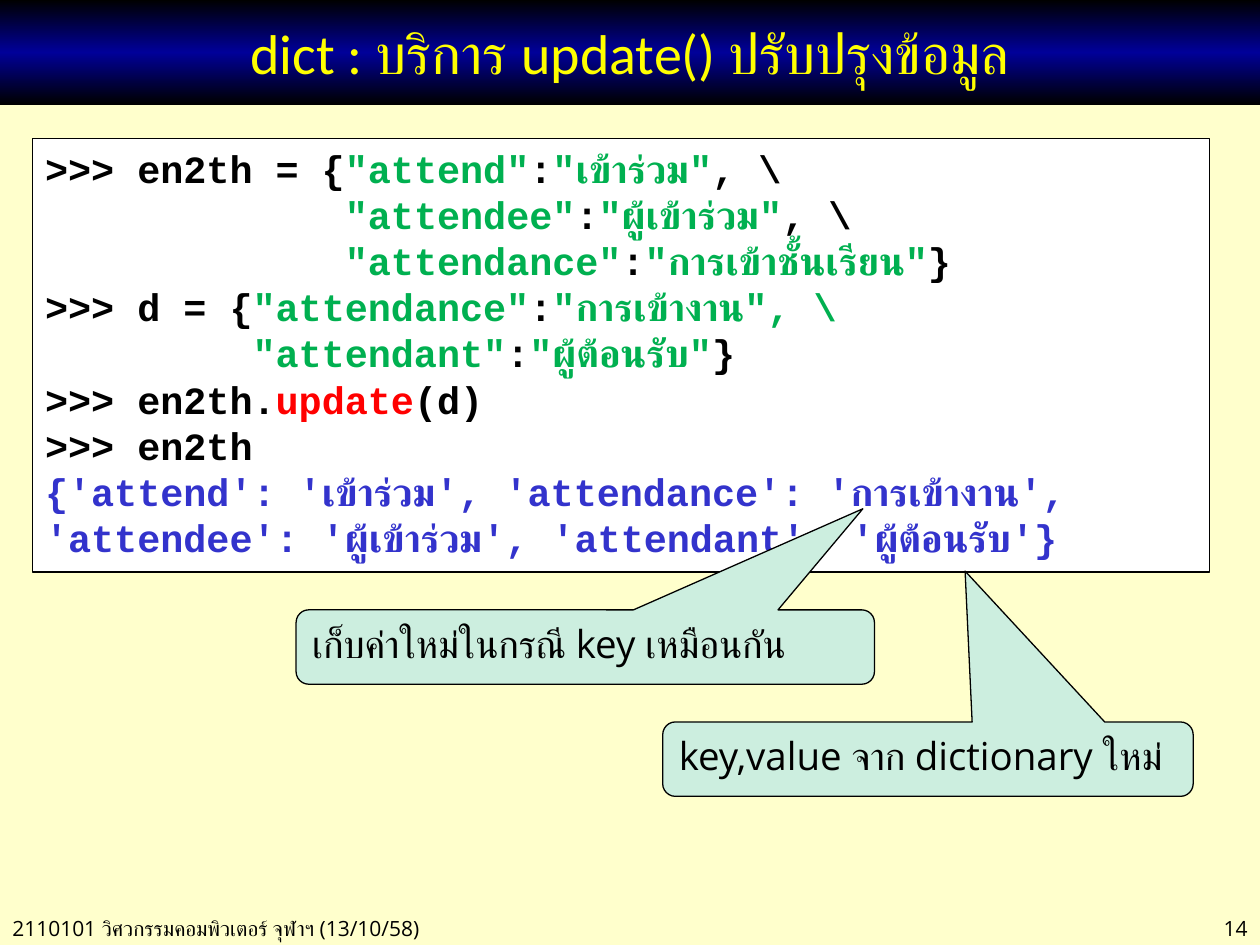
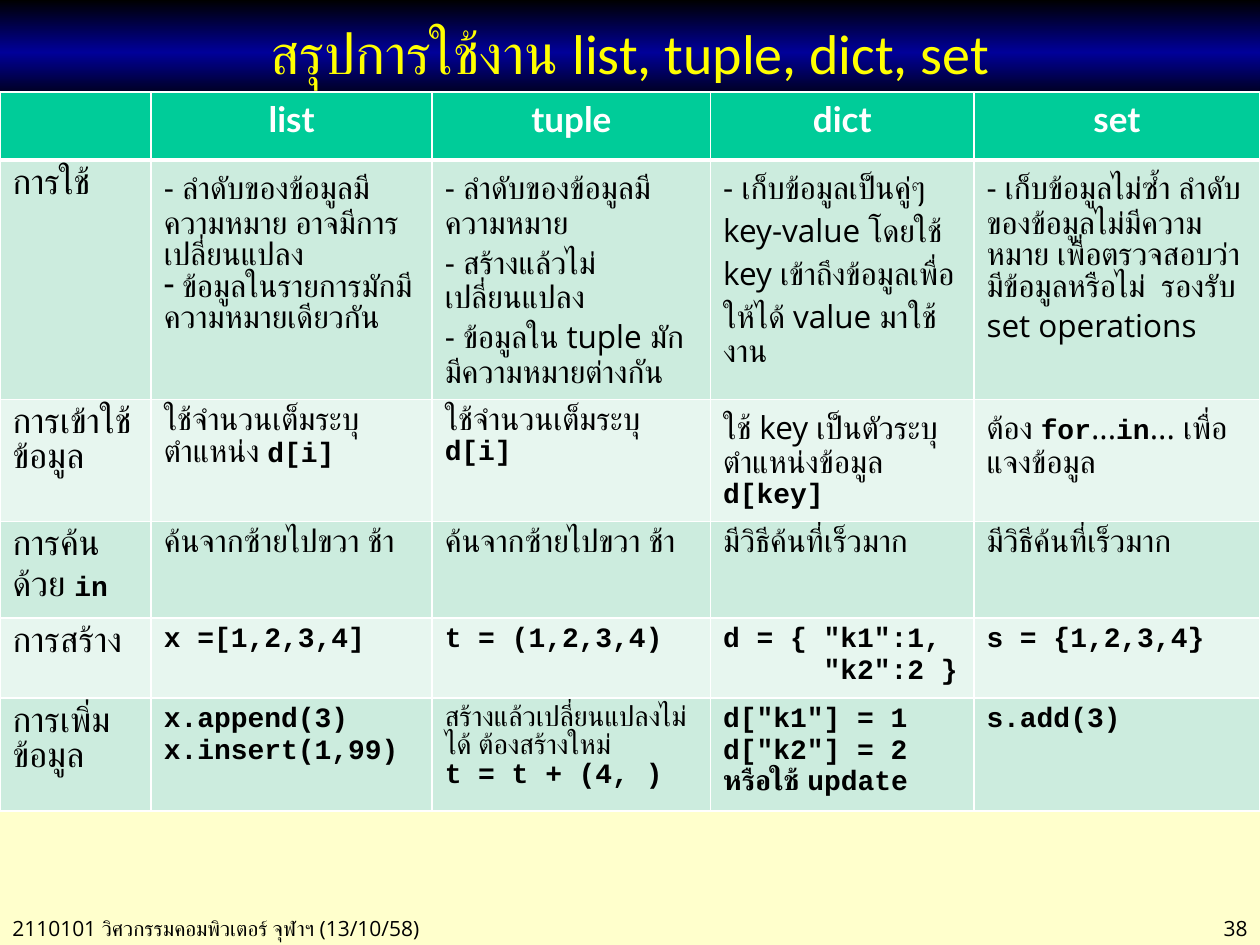
from dataclasses import dataclass
from lxml import etree
from pptx import Presentation
from pptx.dml.color import RGBColor
from pptx.enum.shapes import MSO_SHAPE
from pptx.enum.text import MSO_ANCHOR, MSO_AUTO_SIZE, PP_ALIGN
from pptx.oxml.ns import qn
from pptx.util import Inches, Pt


@dataclass(frozen=True)
class Theme:
    paper: str = "FFFFCC"
    navy: str = "000099"
    yellow: str = "FFFF00"
    black: str = "000000"
    white: str = "FFFFFF"
    green: str = "00B050"
    red: str = "FF0000"
    blue: str = "3333CC"
    callout: str = "CCEEDF"
    header: str = "00CC99"
    bands: tuple = ("E7F6EF", "CCECDE")
    # Text styles: font, size, bold
    title: tuple = ("Calibri", 32, False)
    footer: tuple = ("Open Sans", 12, False)
    code: tuple = ("Courier New", 22, True)
    note: tuple = ("Open Sans", 22, False)
    head: tuple = ("Lato", 20, True)
    label: tuple = ("Calibri", 20, False)
    cell: tuple = ("Open Sans", 18, False)
    small: tuple = ("Open Sans", 16, False)
    cell_code: tuple = ("Courier New", 16, True)


T = Theme()


def add_runs(p, runs, align=PP_ALIGN.LEFT):
    """Append (text, style, colour) runs to a paragraph."""
    p.alignment = align
    for text, (font, size, bold), color in runs:
        r = p.add_run()
        r.text = text
        r.font.name, r.font.size, r.font.bold = font, Pt(size), bold
        r.font.color.rgb = RGBColor.from_string(color)


def start_slide(title, number):
    """Add a slide with the title band and the footer."""
    s = prs.slides.add_slide(prs.slide_layouts[5])
    band = s.shapes.title
    band.left, band.top, band.width, band.height = 0, 0, Inches(10), Inches(0.83)
    band.fill.gradient()
    stops = band._element.spPr.find(qn("a:gradFill")).find(qn("a:gsLst"))
    stops.append(etree.fromstring(etree.tostring(stops[0])))
    for i, color in enumerate((T.black, T.navy, T.black)):
        for old in list(stops[i]):
            stops[i].remove(old)
        stops[i].set("pos", str(i * 50000))
        etree.SubElement(stops[i], qn("a:srgbClr"), val=color)
    band.fill.gradient_angle = 90
    tf = band.text_frame
    tf.auto_size = MSO_AUTO_SIZE.NONE
    tf.vertical_anchor = MSO_ANCHOR.MIDDLE
    add_runs(tf.paragraphs[0], [(title, T.title, T.yellow)], PP_ALIGN.CENTER)

    for text, left, width, align in (
        ("2110101 วิศวกรรมคอมพิวเตอร์ จุฬาฯ (13/10/58)", 0, 3.9, PP_ALIGN.LEFT),
        (str(number), 8.62, 1.38, PP_ALIGN.RIGHT),
    ):
        tf = s.shapes.add_textbox(Inches(left), Inches(7.22), Inches(width), Inches(0.3)).text_frame
        tf.word_wrap = True
        add_runs(tf.paragraphs[0], [(text, T.footer, T.black)], align)
    return s


prs = Presentation()
prs.slide_width, prs.slide_height = Inches(10), Inches(7.5)
background = prs.slide_master.background.fill
background.solid()
background.fore_color.rgb = RGBColor.from_string(T.paper)

# Slide 14: dict.update()
s = start_slide("dict : บริการ update() ปรับปรุงข้อมูล", 14)
K, G, R, B = T.black, T.green, T.red, T.blue
code_lines = [
    [(">>> en2th = {", K), ('"attend"', G), (":", K), ('"เข้าร่วม"', G), (", \\", K)],
    [(" " * 13, K), ('"attendee"', G), (":", K), ('"ผู้เข้าร่วม"', G), (", \\", K)],
    [(" " * 13, K), ('"attendance"', G), (":", K), ('"การเข้าชั้นเรียน"', G), ("}", K)],
    [(">>> d = {", K), ('"attendance"', G), (":", K), ('"การเข้างาน", \\', G)],
    [(" " * 9 + '"attendant"', G), (":", K), ('"ผู้ต้อนรับ"', G), ("}", K)],
    [(">>> en2th.", K), ("update", R), ("(d)", K)],
    [(">>> en2th", K)],
    [("{'attend': 'เข้าร่วม', 'attendance': 'การเข้างาน', "
      "'attendee': 'ผู้เข้าร่วม', 'attendant': 'ผู้ต้อนรับ'}", B)],
]
code_paragraphs = [[(text, T.code, color) for text, color in line] for line in code_lines]
callout = MSO_SHAPE.ROUNDED_RECTANGULAR_CALLOUT
boxes = [
    (MSO_SHAPE.RECTANGLE, (0.26, 1.1, 9.34, 3.44), T.white, (), code_paragraphs),
    (callout, (2.35, 4.84, 4.59, 0.59), T.callout, (0.48, -1.86, 0.17),
     [[("เก็บค่าใหม่ในกรณี key เหมือนกัน", T.note, K)]]),
    (callout, (5.26, 5.73, 4.21, 0.59), T.callout, (0.07, -2.53, 0.17),
     [[("key,value จาก dictionary ใหม่", T.note, K)]]),
]
for kind, place, fill, adjustments, paragraphs in boxes:
    sp = s.shapes.add_shape(kind, *map(Inches, place))
    sp.shadow.inherit = False
    sp.fill.solid()
    sp.fill.fore_color.rgb = RGBColor.from_string(fill)
    sp.line.color.rgb = RGBColor.from_string(T.black)
    sp.line.width = Pt(0.75)
    for i, value in enumerate(adjustments):
        sp.adjustments[i] = value
    tf = sp.text_frame
    tf.word_wrap = True
    tf.vertical_anchor = MSO_ANCHOR.TOP
    for i, runs in enumerate(paragraphs):
        add_runs(tf.add_paragraph() if i else tf.paragraphs[0], runs)

# Slide 38: comparison table; backticks mark code, ~ marks small text
s = start_slide("สรุปการใช้งาน list, tuple, dict, set", 38)
rows = [
    ["", "list", "tuple", "dict", "set"],
    ["การใช้",
     "- ลำดับของข้อมูลมีความหมาย อาจมีการเปลี่ยนแปลง\n ข้อมูลในรายการมักมีความหมายเดียวกัน",
     "- ลำดับของข้อมูลมีความหมาย\n- สร้างแล้วไม่เปลี่ยนแปลง\n- ข้อมูลใน tuple มักมีความหมายต่างกัน",
     "- เก็บข้อมูลเป็นคู่ๆ key-value โดยใช้ key เข้าถึงข้อมูลเพื่อให้ได้ value มาใช้งาน",
     "- เก็บข้อมูลไม่ซ้ำ ลำดับของข้อมูลไม่มีความหมาย เพื่อตรวจสอบว่า มีข้อมูลหรือไม่  รองรับ set operations"],
    ["การเข้าใช้ข้อมูล", "ใช้จำนวนเต็มระบุตำแหน่ง `d[i]`", "ใช้จำนวนเต็มระบุ `d[i]`",
     "ใช้ key เป็นตัวระบุตำแหน่งข้อมูล `d[key]`", "ต้อง `for`...`in`... เพื่อแจงข้อมูล"],
    ["การค้นด้วย `in` ", "ค้นจากซ้ายไปขวา ช้า", "ค้นจากซ้ายไปขวา ช้า",
     "มีวิธีค้นที่เร็วมาก", "มีวิธีค้นที่เร็วมาก"],
    ["การสร้าง", "`x =[1,2,3,4]`", "`t = (1,2,3,4)`",
     '`d = { "k1":1, `\n`      "k2":2 }`', "`s = {1,2,3,4}`"],
    ["การเพิ่มข้อมูล", "`x.append(3)`\n`x.insert(1,99)`",
     "~สร้างแล้วเปลี่ยนแปลงไม่ได้ ต้องสร้างใหม่\n`t = t + (4, )`",
     '`d["k1"] = 1`\n`d["k2"] = 2`\n`หรือใช้ update`', "`s.add(3)`"],
]
col_widths = [1.2, 2.23, 2.21, 2.09, 2.27]
row_heights = [0.54, 1.87, 0.94, 0.72, 0.6, 0.86]
table = s.shapes.add_table(len(rows), len(col_widths), 0, Inches(0.73), Inches(10),
                           Inches(sum(row_heights))).table
for column, width in zip(table.columns, col_widths):
    column.width = Inches(width)
for y, (row, height) in enumerate(zip(rows, row_heights)):
    table.rows[y].height = Inches(height)
    for x, content in enumerate(row):
        cell = table.cell(y, x)
        cell.fill.solid()
        cell.fill.fore_color.rgb = RGBColor.from_string(T.bands[y % 2] if y else T.header)
        tcPr = cell._tc.get_or_add_tcPr()
        for i, side in enumerate(("lnL", "lnR", "lnT", "lnB")):
            thick = (y, side) in ((0, "lnB"), (1, "lnT"))
            ln = etree.Element(qn(f"a:{side}"), w=str(Pt(3 if thick else 1)))
            solid = etree.SubElement(ln, qn("a:solidFill"))
            etree.SubElement(solid, qn("a:srgbClr"), val=T.white)
            tcPr.insert(i, ln)

        plain = T.head if y == 0 else T.label if x == 0 else T.cell
        color = T.black if y else T.white
        align = PP_ALIGN.LEFT
        if y == 0:
            align = PP_ALIGN.CENTER
        elif y > 2 and x:
            align = PP_ALIGN.JUSTIFY
        tf = cell.text_frame
        for i, line in enumerate(content.split("\n")):
            p = tf.add_paragraph() if i else tf.paragraphs[0]
            style = T.small if line.startswith("~") else plain
            parts = line.lstrip("~").split("`")
            add_runs(p, [(part, T.cell_code if n % 2 else style, color)
                         for n, part in enumerate(parts) if part], align)

bulleted = table.cell(1, 1).text_frame.paragraphs[1]
etree.SubElement(bulleted._p.get_or_add_pPr(), qn("a:buChar"), char="-")

prs.save("out.pptx")
